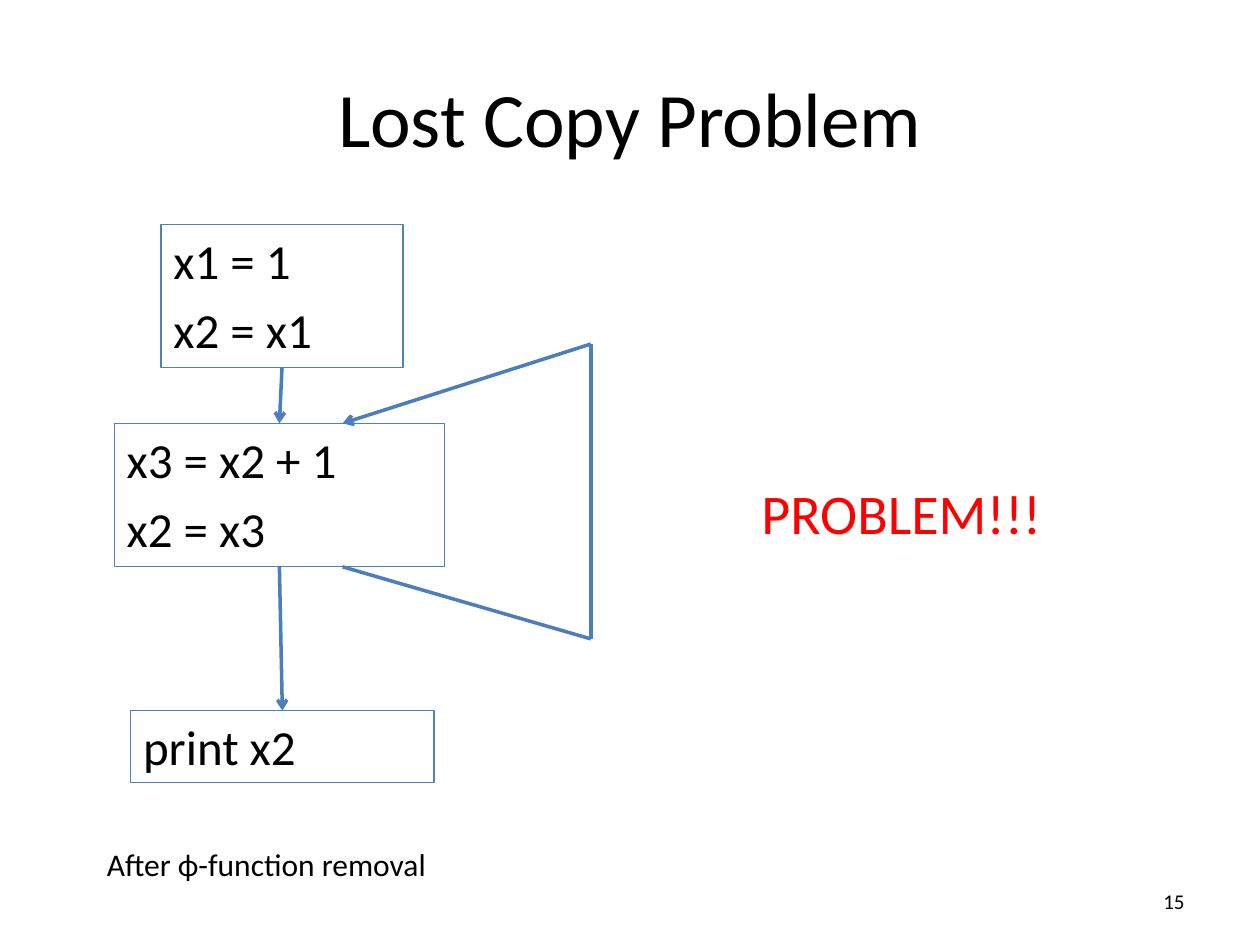
from lxml import etree
from pptx import Presentation
from pptx.dml.color import RGBColor
from pptx.enum.shapes import MSO_CONNECTOR, MSO_SHAPE
from pptx.enum.text import MSO_ANCHOR, PP_ALIGN
from pptx.oxml.ns import qn
from pptx.util import Pt

RECT, STRAIGHT = MSO_SHAPE.RECTANGLE, MSO_CONNECTOR.STRAIGHT
TOP, MIDDLE = MSO_ANCHOR.TOP, MSO_ANCHOR.MIDDLE
LEFT, CENTER, RIGHT = PP_ALIGN.LEFT, PP_ALIGN.CENTER, PP_ALIGN.RIGHT
COLORS = {"text": "000000", "alert": "FF0000", "box": "4F81BD", "edge": "4B7EBC"}
FONT = "Calibri"
TOP_SITE, BOTTOM_SITE = 0, 2


def rgb(name):
    """Return the named palette colour."""
    return RGBColor.from_string(COLORS[name])


def set_text(tf, text, size, color="text", align=LEFT, anchor=TOP):
    """Fill a text frame and format every paragraph and run."""
    tf.text = text
    tf.vertical_anchor = anchor
    for i, p in enumerate(tf.paragraphs):
        p.alignment = align
        if i:
            p.space_before = Pt(size * 0.2)
        for r in p.runs:
            r.font.name, r.font.size = FONT, Pt(size)
            r.font.color.rgb = rgb(color)


def add_title(s, box, text):
    """Place the title placeholder in the given box."""
    sp = s.shapes.title
    sp.left, sp.top, sp.width, sp.height = map(Pt, box)
    set_text(sp.text_frame, text, 44, align=CENTER, anchor=MIDDLE)


def add_label(s, box, text, size, wrap=False, **style):
    """Add a plain text box."""
    tf = s.shapes.add_textbox(*map(Pt, box)).text_frame
    tf.word_wrap = wrap
    set_text(tf, text, size, **style)


def add_block(shapes, box, code):
    """Add an outlined basic block holding code lines."""
    sp = shapes.add_shape(RECT, *map(Pt, box))
    sp.shadow.inherit = False
    sp.fill.background()
    sp.line.color.rgb = rgb("box")
    sp.line.width = Pt(0.75)
    set_text(sp.text_frame, code, 28)
    return sp


def add_edge(shapes, start, end, arrow=False):
    """Add a straight edge, with an arrowhead at its end if asked."""
    cxn = shapes.add_connector(STRAIGHT, *map(Pt, start + end))
    cxn.line.color.rgb = rgb("edge")
    cxn.line.width = Pt(2)
    if arrow:
        ln = cxn.line._get_or_add_ln()
        etree.SubElement(ln, qn("a:tailEnd"), type="arrow")
    etree.SubElement(cxn._element.spPr, qn("a:effectLst"))
    return cxn


def add_flow_graph(s, box):
    """Draw the three blocks, their edges and the loop's back edge."""
    x, y, w, h = box
    shapes = s.shapes.add_group_shape().shapes
    loop_top, loop_h, exit_h = y + 113.7, 82, 41
    loop_bottom = loop_top + loop_h
    entry = add_block(shapes, (x + 26.7, y, 138.3, loop_h), "x1 = 1\nx2 = x1")
    loop = add_block(shapes, (x, loop_top, 188.7, loop_h), "x3 = x2 + 1\nx2 = x3")
    leave = add_block(shapes, (x + 9.4, y + h - exit_h, 173.3, exit_h), "print x2")

    for source, target in ((entry, loop), (loop, leave)):
        cxn = add_edge(shapes, (0, 0), (0, 0), arrow=True)
        cxn.begin_connect(source, BOTTOM_SITE)
        cxn.end_connect(target, TOP_SITE)

    join, right = x + 130.5, x + w
    upper, lower = (right, y + 68.4), (right, y + 236.9)
    add_edge(shapes, upper, (join, loop_top), arrow=True)
    add_edge(shapes, upper, lower)
    add_edge(shapes, lower, (join, loop_bottom))


def main():
    """Build and save the slide."""
    prs = Presentation()
    prs.slide_width, prs.slide_height = Pt(720), Pt(540)
    s = prs.slides.add_slide(prs.slide_layouts[5])
    add_title(s, (36, 21.6, 648, 90), "Lost Copy Problem")
    add_flow_graph(s, (65.3, 128.2, 272.3, 318.9))
    add_label(s, (54, 479.5, 228, 29), "After ϕ-function removal", 18)
    add_label(s, (428, 270, 187, 46), "PROBLEM!!!", 32, color="alert")
    add_label(s, (516, 500.5, 168, 28.8), "15", 12, wrap=True,
              align=RIGHT, anchor=MIDDLE)
    prs.save("out.pptx")


if __name__ == "__main__":
    main()
